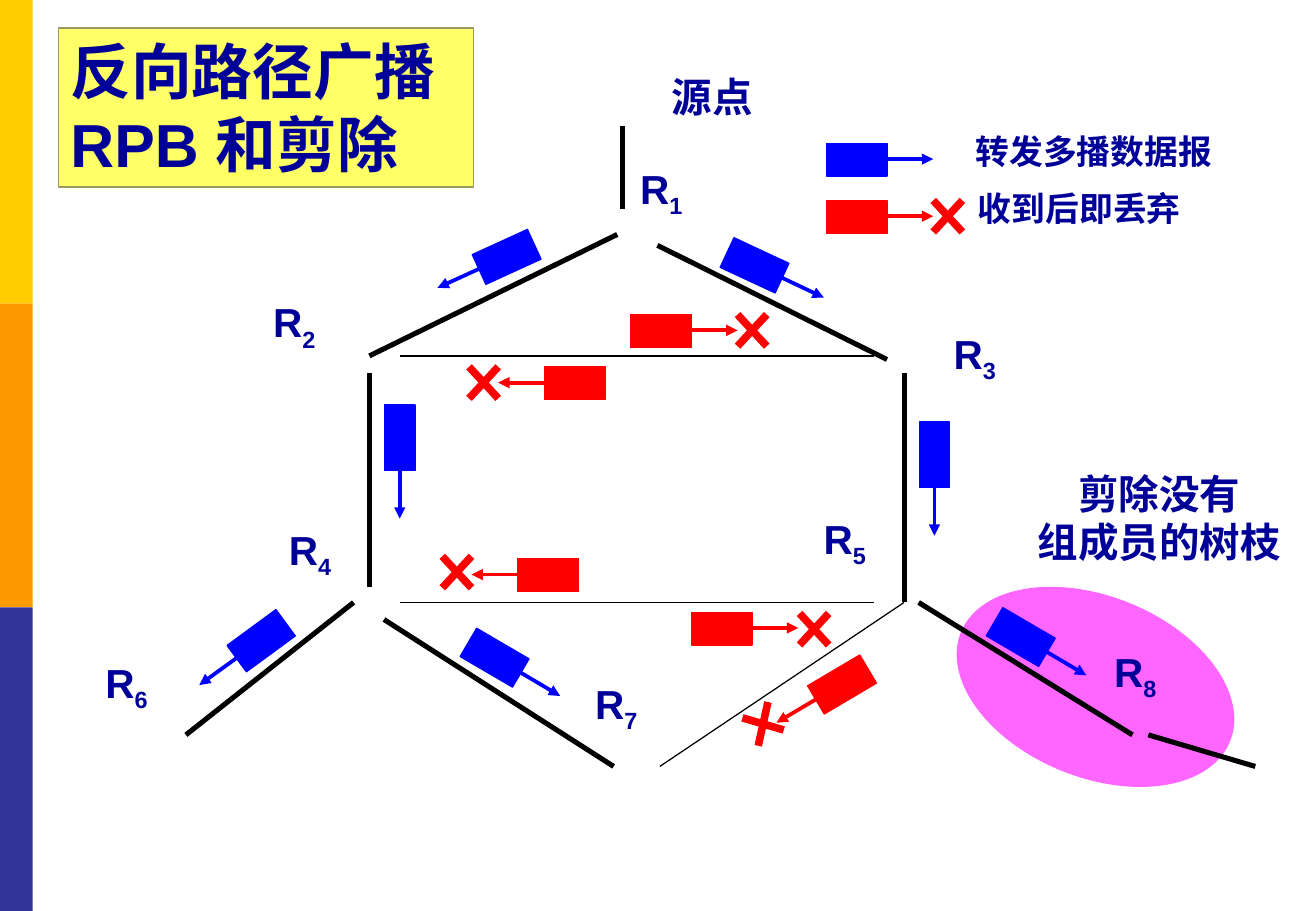
from math import cos, radians, sin

from lxml.etree import SubElement
from pptx import Presentation
from pptx.dml.color import RGBColor
from pptx.enum.shapes import MSO_CONNECTOR, MSO_SHAPE
from pptx.enum.text import MSO_ANCHOR, MSO_AUTO_SIZE, PP_ALIGN
from pptx.oxml.ns import qn
from pptx.util import Pt

PX = 9144  # 100 px to the inch
FONT = "Arial"
COLORS = {
    name: RGBColor.from_string(value)
    for name, value in {
        "gold": "FFCC00",
        "orange": "FF9900",
        "indigo": "333399",
        "pink": "FF66FF",
        "yellow": "FFFF66",
        "olive": "999966",
        "navy": "000099",
        "blue": "0000FF",
        "red": "FF0000",
        "black": "000000",
    }.items()
}


def write_text(frame, text, size=24, align=PP_ALIGN.LEFT, subscript="", wrap=False):
    """Fill a text frame, one paragraph a line, with an optional subscript."""
    frame.word_wrap = wrap
    frame.auto_size = MSO_AUTO_SIZE.NONE
    for index, line in enumerate(text.split("\n")):
        paragraph = frame.add_paragraph() if index else frame.paragraphs[0]
        paragraph.alignment = align
        for part, baseline in ((line, 0), (subscript, -25000)):
            if not part:
                continue
            run = paragraph.add_run()
            run.text = part
            run.font.size = Pt(size)
            run.font.bold = True
            run.font.name = FONT
            run.font.color.rgb = COLORS["navy"]
            properties = run._r.get_or_add_rPr()
            SubElement(properties, qn("a:ea"), typeface=FONT)
            if baseline:
                properties.set("baseline", str(baseline))


def add_line(start, end, color="black", width=3, arrow=False):
    connector = slide.shapes.add_connector(
        MSO_CONNECTOR.STRAIGHT, *(round(value) * PX for value in (*start, *end))
    )
    connector.line.color.rgb = COLORS[color]
    connector.line.width = Pt(width)
    if arrow:
        SubElement(connector.line._get_or_add_ln(), qn("a:tailEnd"), type="triangle")
    SubElement(connector._element.spPr, qn("a:effectLst"))


presentation = Presentation()
presentation.slide_width = 1083 * PX
presentation.slide_height = 750 * PX
slide = presentation.slides.add_slide(presentation.slide_layouts[5])

# Title
title = slide.shapes.title
title.left, title.top, title.width, title.height = (
    value * PX for value in (48, 23, 342, 131)
)
title.fill.solid()
title.fill.fore_color.rgb = COLORS["yellow"]
title.line.color.rgb = COLORS["olive"]
title.line.width = Pt(0.75)
title.text_frame.vertical_anchor = MSO_ANCHOR.TOP
write_text(title.text_frame, "反向路径广播 RPB 和剪除", size=36, wrap=True)

# Side bars, pruned branch and packets: left, top, width, height, rotation, colour
blocks = [
    (MSO_SHAPE.RECTANGLE, 0, 250 * row, 27, 250, 0, color)
    for row, color in enumerate(("gold", "orange", "indigo"))
]
blocks.append((MSO_SHAPE.OVAL, 782, 491, 239, 149, 22.1, "pink"))

# Packets: centre, direction in degrees, colour
packets = [
    (705, 131, 0, "blue"),
    (705, 178, 0, "red"),
    (417, 211, 155.4, "blue"),
    (621, 218, 25, "blue"),
    (544, 272, 0, "red"),
    (473, 315, 180, "red"),
    (329, 360, 90, "blue"),
    (769, 374, 90, "blue"),
    (451, 473, 180, "red"),
    (594, 517, 0, "red"),
    (215, 527, 143.7, "blue"),
    (407, 541, 30.3, "blue"),
    (840, 524, 30.3, "blue"),
    (693, 563, 149.4, "red"),
]
for x, y, direction, color in packets:
    width, height = (54, 25) if direction == 90 else (50, 27)
    rotation = direction if direction <= 90 else (direction + 180) % 360
    blocks.append(
        (MSO_SHAPE.RECTANGLE, x - width // 2, y - height // 2, width, height, rotation, color)
    )

for kind, left, top, width, height, rotation, color in blocks:
    shape = slide.shapes.add_shape(kind, left * PX, top * PX, width * PX, height * PX)
    shape.rotation = rotation
    shape.shadow.inherit = False
    shape.fill.solid()
    shape.fill.fore_color.rgb = COLORS[color]
    if color in ("blue", "red"):
        shape.line.color.rgb = COLORS[color]
        shape.line.width = Pt(0.75)
    else:
        shape.line.fill.background()

for x, y, direction, color in packets:
    across, down = cos(radians(direction)), sin(radians(direction))
    reach = 67 if direction == 90 else 63
    tip = (x + reach * across, y + reach * down)
    add_line((x, y), tip, color, 2.25, arrow=True)

# Tree branches are thick, unused links are thin
branches = [
    ((512, 104), (512, 172)),
    ((304, 293), (508, 193)),
    ((541, 202), (730, 296)),
    ((304, 307), (304, 483)),
    ((744, 307), (744, 496)),
    ((291, 496), (153, 605)),
    ((316, 510), (505, 631)),
    ((756, 496), (932, 605)),
    ((945, 605), (1033, 631)),
]
unused_links = [
    ((329, 293), (719, 293)),
    ((329, 496), (719, 496)),
    ((744, 496), (543, 631)),
]
for links, width in ((branches, 3), (unused_links, 0.75)):
    for start, end in links:
        add_line(start, end, width=width)

# Discard crosses: centre and tilt in degrees
crosses = [
    (780, 178, 0),
    (619, 272, 0),
    (398, 315, 0),
    (376, 471, 0),
    (670, 518, 0),
    (628, 596, -31),
]
for x, y, tilt in crosses:
    for arm in (47, 133):
        across, down = 18 * cos(radians(arm + tilt)), 18 * sin(radians(arm + tilt))
        add_line((x - across, y - down), (x + across, y + down), "red", 4.5)

# Labels: left, top, width, height, text, format
labels = [
    (543, 54, 88, 50, "源点", {}),
    (793, 103, 218, 44, "转发多播数据报", {"size": 20}),
    (795, 150, 190, 44, "收到后即丢弃", {"size": 20}),
    (843, 381, 222, 91, "剪除没有\n组成员的树枝", {"align": PP_ALIGN.CENTER}),
]
routers = [
    (517, 130), (215, 240), (775, 266), (228, 427),
    (668, 418), (77, 537), (480, 554), (907, 528),
]
for number, (left, top) in enumerate(routers, 1):
    labels.append((left, top, 57, 50, "R", {"subscript": str(number)}))

for left, top, width, height, text, text_format in labels:
    box = slide.shapes.add_textbox(left * PX, top * PX, width * PX, height * PX)
    write_text(box.text_frame, text, **text_format)

presentation.save("out.pptx")
